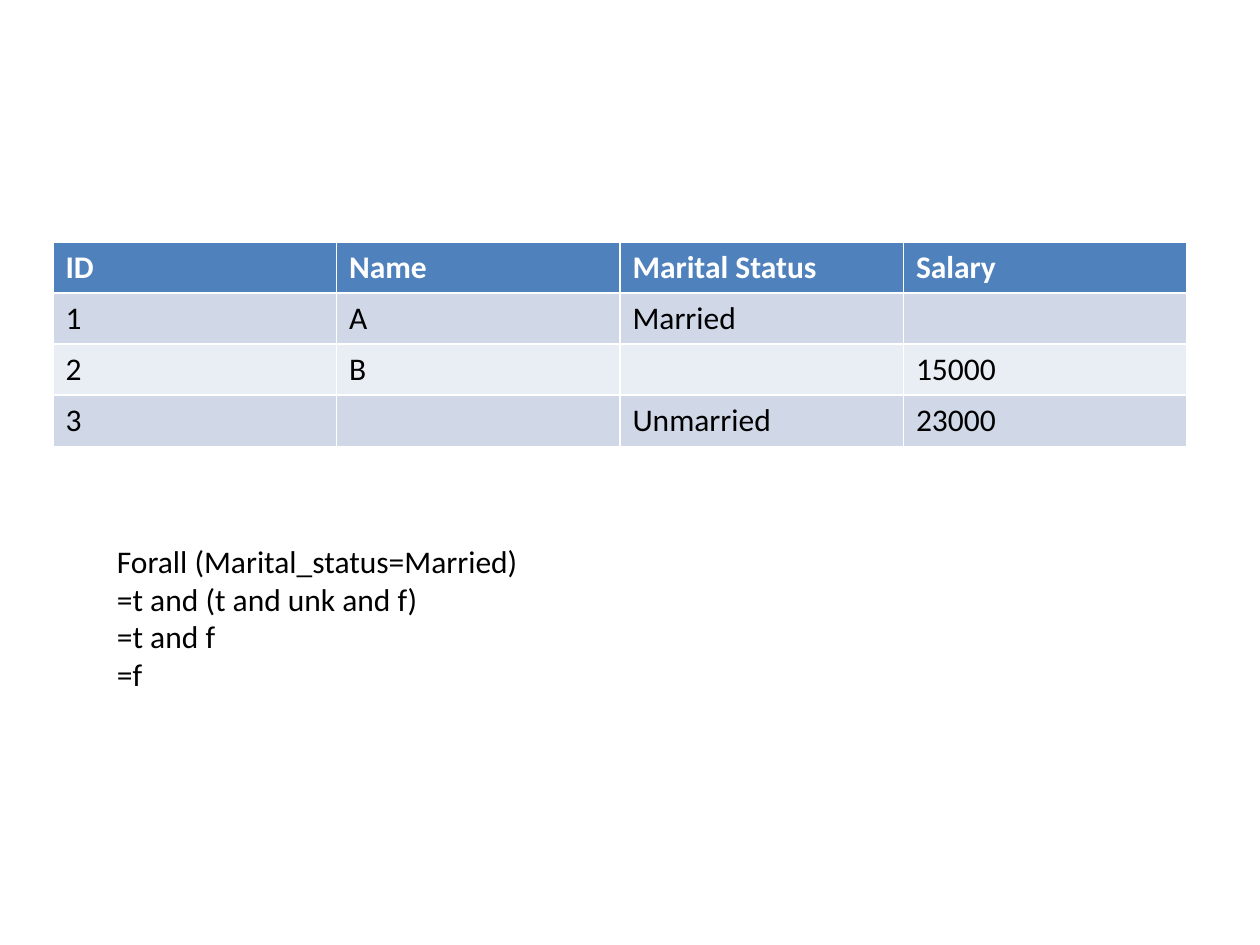
import pptx
import pptx.util
import pptx.dml.color
import pptx.enum.text
from dataclasses import dataclass

Inches = pptx.util.Inches

ROWS = [
    ("ID", "Name", "Marital Status", "Salary"),
    ("1", "A", "Married", ""),
    ("2", "B", "", "15000"),
    ("3", "", "Unmarried", "23000"),
]
STEPS = [
    "Forall (Marital_status=Married)",
    "=t and (t and unk and f)",
    "=t and f",
    "=f",
]


@dataclass(frozen=True)
class Theme:
    font: str = "Calibri"
    size: int = 18
    header: str = "4F81BD"
    bands: tuple = ("E9EDF4", "D0D8E8")
    light: str = "FFFFFF"
    dark: str = "000000"


THEME = Theme()


def rgb(value):
    return pptx.dml.color.RGBColor.from_string(value)


def style(tf, color, bold=False):
    for p in tf.paragraphs:
        for r in p.runs:
            r.font.name = THEME.font
            r.font.size = pptx.util.Pt(THEME.size)
            r.font.bold = bold
            r.font.color.rgb = rgb(color)


def add_people_table(s):
    frame = s.shapes.add_table(len(ROWS), len(ROWS[0]), Inches(0.42), Inches(1.92),
                               Inches(9), Inches(1.62))
    for i, row in enumerate(ROWS):
        header = i == 0
        for j, text in enumerate(row):
            cell = frame.table.cell(i, j)
            cell.fill.solid()
            cell.fill.fore_color.rgb = rgb(THEME.header if header else THEME.bands[i % 2])
            cell.text_frame.text = text
            style(cell.text_frame, THEME.light if header else THEME.dark, header)


def add_derivation(s):
    sp = s.shapes.add_textbox(Inches(0.83), Inches(4.25), Inches(6.67), Inches(1.31))
    tf = sp.text_frame
    tf.word_wrap = True
    tf.auto_size = pptx.enum.text.MSO_AUTO_SIZE.SHAPE_TO_FIT_TEXT
    tf.text = "\n".join(STEPS)
    style(tf, THEME.dark)


prs = pptx.Presentation()
prs.slide_width, prs.slide_height = Inches(10), Inches(7.5)
s = prs.slides.add_slide(prs.slide_layouts[6])
add_people_table(s)
add_derivation(s)
prs.save("out.pptx")
